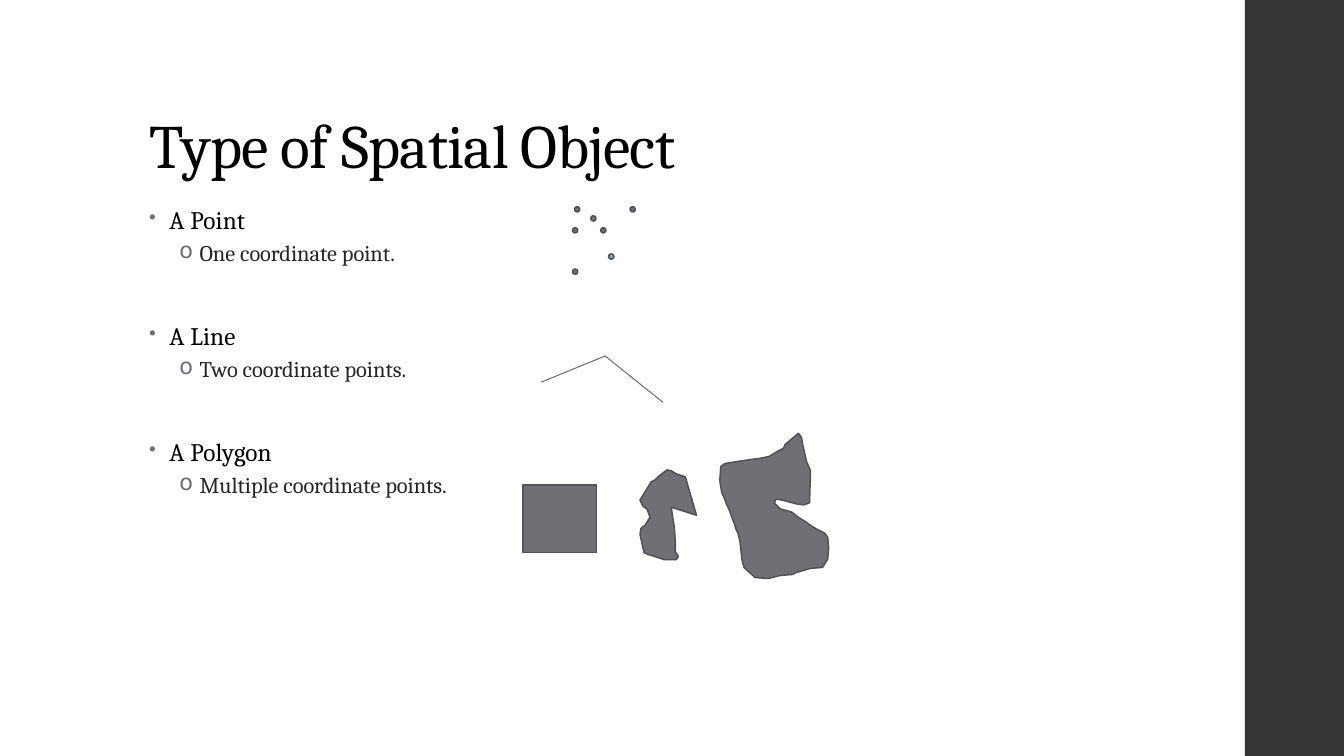
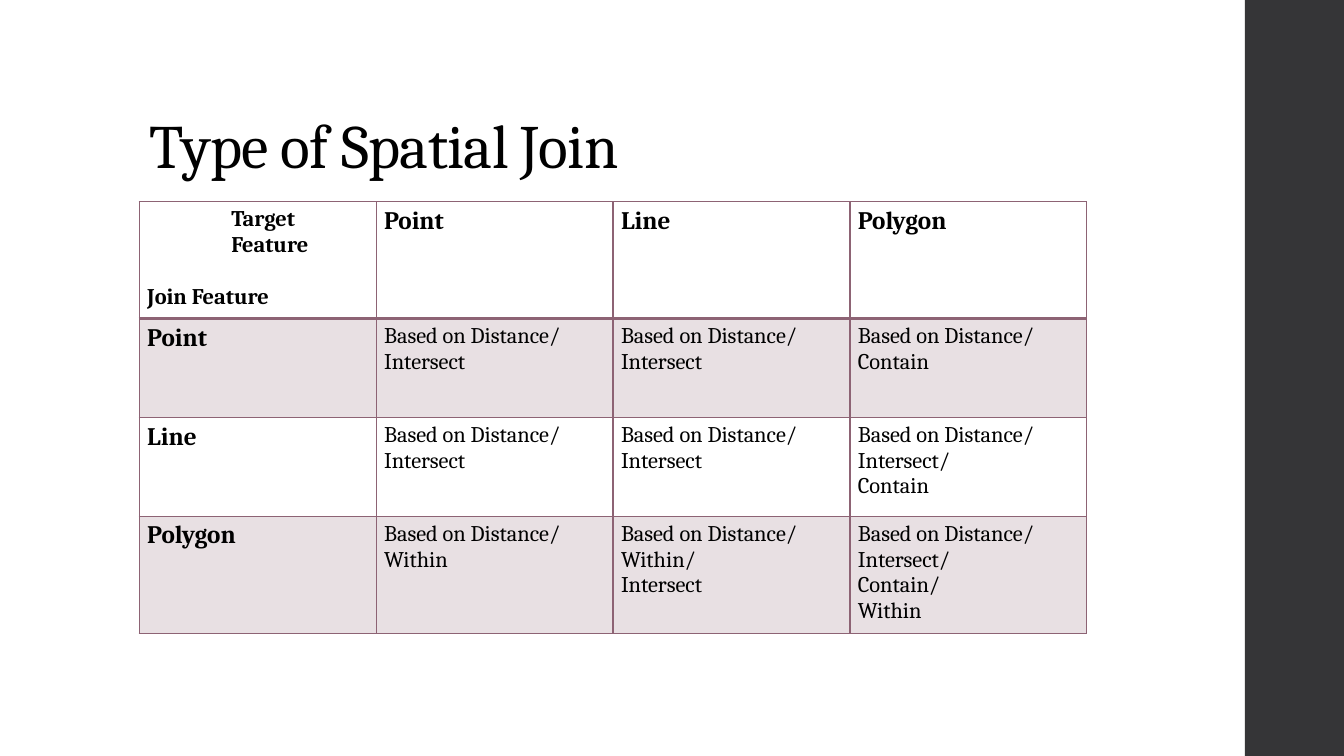
from dataclasses import dataclass
from itertools import pairwise

from lxml.etree import SubElement
from pptx import Presentation
from pptx.dml.color import RGBColor
from pptx.enum.shapes import MSO_CONNECTOR as Connector, MSO_SHAPE as Preset
from pptx.enum.text import MSO_ANCHOR as Anchor, PP_ALIGN as Align
from pptx.oxml.ns import qn
from pptx.util import Cm, Pt


@dataclass(frozen=True)
class Theme:
    """Colours, font and type sizes of the deck."""
    font: str = "Cambria"
    ink: str = "000000"
    soft_ink: str = "262626"
    band: str = "353537"
    grey: str = "6F6F74"
    outline: str = "525256"
    light_dot: str = "92A9B9"
    rule: str = "8D6374"
    tint: str = "E8E0E3"
    title: int = 44
    heading: int = 18
    text: int = 16


@dataclass(frozen=True)
class Box:
    """A region in centimetres."""
    left: float
    top: float
    width: float
    height: float

    def lengths(self):
        """Return the region as lengths for a shape call."""
        return Cm(self.left), Cm(self.top), Cm(self.width), Cm(self.height)

    def within(self, left, top, width=0, height=0):
        """Return a region placed from this one's corner."""
        return Box(self.left + left, self.top + top, width, height)


THEME = Theme()
SLIDE = Box(0, 0, 33.87, 19.05)
BAND = Box(31.37, 0, 2.5, 19.05)
TITLE = Box(3.51, 1.02, 26.92, 3.68)
BODY = Box(3.51, 5.08, 23.88, 12.09)
POINTS = Box(14.43, 5.21, 1.58, 1.7)
BENT_LINE = Box(13.64, 8.97, 3.07, 1.17)
POLYGONS = Box(13.18, 10.92, 7.73, 3.66)

HUNDREDTH_INCH = Cm(0.0254)
SMALL_OUTLINE = [
    (0, 30), (8, 17), (11, 12), (15, 10), (19, 6), (27, 0), (31, 1), (36, 4),
    (45, 7), (56, 45), (31, 37), (33, 51), (34, 56), (35, 72), (35, 81),
    (38, 86), (36, 89), (24, 89), (12, 85), (8, 84), (4, 82), (0, 64),
    (1, 58), (5, 55), (10, 47), (7, 39), (3, 36)]
LARGE_OUTLINE = [
    (13, 86), (9, 75), (7, 71), (4, 63), (2, 59), (0, 47), (1, 33), (5, 30),
    (11, 29), (31, 26), (39, 25), (49, 23), (57, 18), (63, 15), (65, 11),
    (78, 0), (81, 4), (82, 10), (86, 28), (90, 37), (89, 69), (83, 71),
    (76, 70), (65, 67), (56, 65), (54, 69), (60, 75), (71, 78), (79, 84),
    (87, 89), (91, 92), (96, 95), (104, 99), (107, 103), (108, 114),
    (107, 125), (102, 133), (90, 134), (76, 138), (72, 140), (60, 141),
    (48, 144), (35, 143), (24, 133), (22, 125), (20, 107), (18, 99),
    (16, 95), (15, 91)]


def rgb(code):
    """Return a colour from its hex code."""
    return RGBColor.from_string(code)


def style_para(para, size, color=THEME.ink, bold=False, tracking=0):
    """Format every run of a paragraph."""
    para.alignment = Align.LEFT
    for span in para.runs:
        span.font.name = THEME.font
        span.font.size = Pt(size)
        span.font.bold = bold
        span.font.color.rgb = rgb(color)
        span._r.get_or_add_rPr().set("spc", str(tracking))


def paint(shape, fill, outline=None):
    """Give a shape a flat fill and an optional outline."""
    shape.shadow.inherit = False
    shape.fill.solid()
    shape.fill.fore_color.rgb = rgb(fill)
    if outline:
        shape.line.color.rgb = rgb(outline)
        shape.line.width = Pt(1.1)
    else:
        shape.line.fill.background()


def add_preset(page, preset, box, fill, outline=None):
    """Add a painted preset shape."""
    paint(page.shapes.add_shape(preset, *box.lengths()), fill, outline)


def add_page(deck, title):
    """Add a slide with the side band and the title."""
    page = deck.slides.add_slide(deck.slide_layouts[6])
    add_preset(page, Preset.RECTANGLE, BAND, THEME.band)
    frame = page.shapes.add_textbox(*TITLE.lengths()).text_frame
    frame.word_wrap = True
    frame.vertical_anchor = Anchor.BOTTOM
    para = frame.paragraphs[0]
    para.text = title
    para.line_spacing = 0.9
    style_para(para, THEME.title, tracking=-50)
    return page


def add_bullet(para, mark, indent, scale=100):
    """Hang a grey bullet before a paragraph."""
    props = para._p.get_or_add_pPr()
    props.set("marL", str(Cm(indent)))
    props.set("indent", str(Cm(-0.51)))
    color = SubElement(props, qn("a:buClr"))
    SubElement(color, qn("a:srgbClr"), val=THEME.grey)
    SubElement(props, qn("a:buSzPct"), val=str(scale * 1000))
    SubElement(props, qn("a:buChar"), char=mark)


def add_definitions(page, box, definitions):
    """List each term with its definition below it."""
    frame = page.shapes.add_textbox(*box.lengths()).text_frame
    frame.word_wrap = True
    for number, (term, meaning) in enumerate(definitions):
        para = frame.add_paragraph() if number else frame.paragraphs[0]
        para.text = term
        para.line_spacing = 0.95
        para.space_before, para.space_after = Pt(37 if number else 14), Pt(2)
        style_para(para, THEME.heading, tracking=10)
        add_bullet(para, "•", 0.51, 80)

        para = frame.add_paragraph()
        para.text = meaning
        para.line_spacing = 0.9
        para.space_before = para.space_after = Pt(3)
        style_para(para, THEME.text, THEME.soft_ink)
        add_bullet(para, "o", 1.27)


def add_points(page, box):
    """Scatter the sample points."""
    dots = [(0.05, 0), (0, 0.53), (0.46, 0.23), (0.71, 0.53), (1.45, 0), (0, 1.57)]
    for left, top in dots:
        add_preset(page, Preset.OVAL, box.within(left, top, 0.13, 0.13),
                   THEME.grey, THEME.outline)
    add_preset(page, Preset.OVAL, box.within(0.91, 1.19, 0.13, 0.13),
               THEME.light_dot, THEME.outline)


def add_bent_line(page, box):
    """Join three corners with two straight lines."""
    corners = [box.within(0, 0.66), box.within(1.61, 0), box.within(box.width, box.height)]
    for start, end in pairwise(corners):
        line = page.shapes.add_connector(
            Connector.STRAIGHT, Cm(start.left), Cm(start.top), Cm(end.left), Cm(end.top))
        line.line.color.rgb = rgb(THEME.grey)
        line.line.width = Pt(0.75)
        SubElement(line._element.spPr, qn("a:effectLst"))


def add_polygons(page, box):
    """Draw a square and two irregular polygons."""
    for corner, outline in ((box.within(2.95, 0.92), SMALL_OUTLINE),
                            (box.within(4.96, 0), LARGE_OUTLINE)):
        first, *others = outline
        builder = page.shapes.build_freeform(*first, scale=HUNDREDTH_INCH)
        builder.add_line_segments(others, close=True)
        paint(builder.convert_to_shape(Cm(corner.left), Cm(corner.top)),
              THEME.grey, THEME.outline)
    add_preset(page, Preset.RECTANGLE, box.within(0, 1.3, 1.85, 1.7),
               THEME.grey, THEME.outline)


def add_borders(cell, top, bottom):
    """Rule the four sides of a table cell."""
    props = cell._tc.get_or_add_tcPr()
    for side, width in (("L", 1), ("R", 1), ("T", top), ("B", bottom)):
        line = SubElement(props, qn(f"a:ln{side}"), w=str(Pt(width)))
        fill = SubElement(line, qn("a:solidFill"))
        SubElement(fill, qn("a:srgbClr"), val=THEME.rule)


def style_corner(cell):
    """Set the target label to the right and the join label below."""
    target, feature, join = cell.text_frame.paragraphs
    for para in (target, feature):
        para._p.get_or_add_pPr().set("marL", str(Cm(2.12)))
    join.space_before = Pt(18.7)


def add_join_table(page, box, rows):
    """Lay out the join rules with tinted alternate rows."""
    columns = len(rows[0])
    table = page.shapes.add_table(
        len(rows), columns, *box.within(0, 0, box.width, 2.49 * len(rows)).lengths()).table
    table.first_row = table.horz_banding = False
    for column in table.columns:
        column.width = Cm(box.width / columns)
    for y, texts in enumerate(rows):
        table.rows[y].height = Cm(2.49)
        for x, text in enumerate(texts):
            cell = table.cell(y, x)
            cell.margin_left = cell.margin_right = Cm(0.2)
            cell.text_frame.text = text
            label = y == 0 or x == 0
            heading = label and x + y > 0
            for para in cell.text_frame.paragraphs:
                style_para(para, THEME.heading if heading else THEME.text, bold=label)
            add_borders(cell, 2 if y == 1 else 1, 2 if y == 0 else 1)
            if y % 2:
                cell.fill.solid()
                cell.fill.fore_color.rgb = rgb(THEME.tint)
            else:
                cell.fill.background()
    style_corner(table.cell(0, 0))


def build_objects(deck):
    """Build the slide on spatial objects."""
    page = add_page(deck, "Type of Spatial Object")
    add_definitions(page, BODY, [
        ("A Point", "One coordinate point."),
        ("A Line", "Two coordinate points."),
        ("A Polygon", "Multiple coordinate points.")])
    add_points(page, POINTS)
    add_bent_line(page, BENT_LINE)
    add_polygons(page, POLYGONS)


def build_joins(deck):
    """Build the slide on spatial joins."""
    page = add_page(deck, "Type of Spatial Join")
    near = "Based on Distance/\n"
    add_join_table(page, BODY, [
        ["Target\nFeature\nJoin Feature", "Point", "Line", "Polygon"],
        ["Point", near + "Intersect", near + "Intersect", near + "Contain"],
        ["Line", near + "Intersect", near + "Intersect", near + "Intersect/\nContain"],
        ["Polygon", near + "Within", near + "Within/\nIntersect",
         near + "Intersect/\nContain/\nWithin"]])


def main():
    """Build and save the deck."""
    deck = Presentation()
    deck.slide_width, deck.slide_height = Cm(SLIDE.width), Cm(SLIDE.height)
    build_objects(deck)
    build_joins(deck)
    deck.save("out.pptx")


main()
